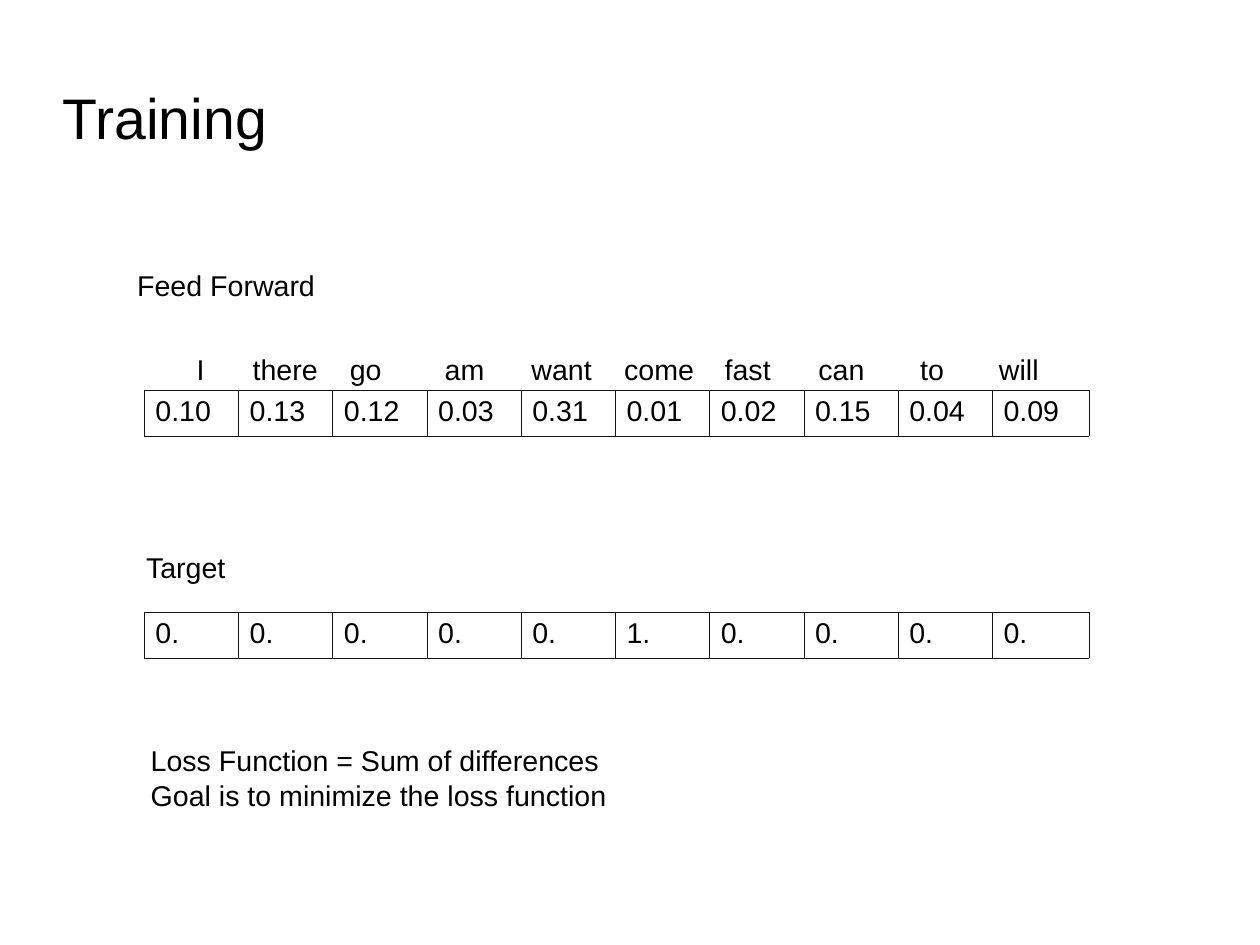
import pptx
import pptx.dml.color
import pptx.enum.text
import pptx.oxml
import pptx.oxml.ns
import pptx.util
import lxml.etree

WORDS = ["I", "there", "go", "am", "want", "come", "fast", "can", "to", "will"]
WORD_STOPS = [0.2, 0.69, 1.54, 2.37, 3.13, 3.94, 4.82, 5.64, 6.53, 7.22]
PREDICTED = ["0.10", "0.13", "0.12", "0.03", "0.31", "0.01", "0.02", "0.15", "0.04", "0.09"]
TARGET = ["1." if word == "come" else "0." for word in WORDS]


def color(value):
    return pptx.dml.color.RGBColor.from_string(value)


def add_child(parent, tag, **attributes):
    child = lxml.etree.SubElement(parent, pptx.oxml.ns.qn(tag))
    for name, value in attributes.items():
        child.set(name, str(value))
    return child


class TrainingSlide:
    """Draws slide elements in one style, placed by percent of the slide size."""

    font = "Arial"
    ink = "000000"
    border = "111111"
    body_size = 18
    title_size = 36
    column_share = 7.48

    def __init__(self, deck):
        self.deck = deck
        self.page = deck.slides.add_slide(deck.slide_layouts[5])

    def area(self, left, top, width, height):
        across, down = self.deck.slide_width / 100, self.deck.slide_height / 100
        return [int(left * across), int(top * down), int(width * across), int(height * down)]

    def style(self, frame, size):
        for para in frame.paragraphs:
            for span in para.runs:
                span.font.name = self.font
                span.font.size = pptx.util.Pt(size)
                span.font.color.rgb = color(self.ink)

    def title(self, text, *place):
        box = self.page.shapes.title
        box.left, box.top, box.width, box.height = self.area(*place)
        frame = box.text_frame
        frame.text = text
        frame.margin_left = frame.margin_right = frame.margin_top = frame.margin_bottom = 0
        frame.vertical_anchor = pptx.enum.text.MSO_ANCHOR.MIDDLE
        frame.auto_size = pptx.enum.text.MSO_AUTO_SIZE.SHAPE_TO_FIT_TEXT
        frame.paragraphs[0].alignment = pptx.enum.text.PP_ALIGN.LEFT
        self.style(frame, self.title_size)

    def text(self, text, *place):
        frame = self.page.shapes.add_textbox(*self.area(*place)).text_frame
        frame.text = text
        frame.word_wrap = True
        frame.auto_size = pptx.enum.text.MSO_AUTO_SIZE.SHAPE_TO_FIT_TEXT
        self.style(frame, self.body_size)
        return frame

    def tabbed(self, words, stops, *place):
        frame = self.text("".join("\t" + word for word in words), *place)
        tabs = add_child(frame.paragraphs[0]._p.get_or_add_pPr(), "a:tabLst")
        for stop in stops:
            add_child(tabs, "a:tab", pos=int(pptx.util.Inches(stop)), algn="l")

    def outline(self, cell):
        properties = cell._tc.get_or_add_tcPr()
        for index, side in enumerate(["a:lnL", "a:lnR", "a:lnT", "a:lnB"]):
            line = pptx.oxml.parse_xml(f'<{side} {pptx.oxml.ns.nsdecls("a")} w="762"/>')
            properties.insert(index, line)
            add_child(add_child(line, "a:solidFill"), "a:srgbClr", val=self.border)

    def table(self, values, *place):
        left, top, width, height = self.area(*place)
        grid = self.page.shapes.add_table(1, len(values), left, top, width, height).table
        grid.first_row = grid.horz_banding = False
        column_width = int(self.deck.slide_width * self.column_share / 100)
        for column in grid.columns:
            column.width = column_width
        grid.columns[len(values) - 1].width = width - column_width * (len(values) - 1)
        for cell, value in zip(grid.rows[0].cells, values):
            cell.text = value
            cell.fill.background()
            self.style(cell.text_frame, self.body_size)
            self.outline(cell)


def main():
    deck = pptx.Presentation()
    deck.slide_width = pptx.util.Cm(28)
    deck.slide_height = pptx.util.Cm(21)
    slide = TrainingSlide(deck)
    slide.title("Training", 4.97, 7.6, 71.4, 9.5)
    slide.text("Feed Forward", 10, 27.75, 19.3, 4.6)
    slide.table(PREDICTED, 11.43, 41.25, 75, 4.6)
    slide.text("Target", 10.7, 57.55, 14.25, 4.6)
    slide.table(TARGET, 11.43, 64.8, 75, 4.6)
    slide.tabbed(WORDS, WORD_STOPS, 12.9, 36.65, 72.9, 4.6)
    slide.text("Loss Function = Sum of differences\nGoal is to minimize the loss function",
               11.07, 78.05, 43.55, 8)
    deck.save("out.pptx")


if __name__ == "__main__":
    main()
